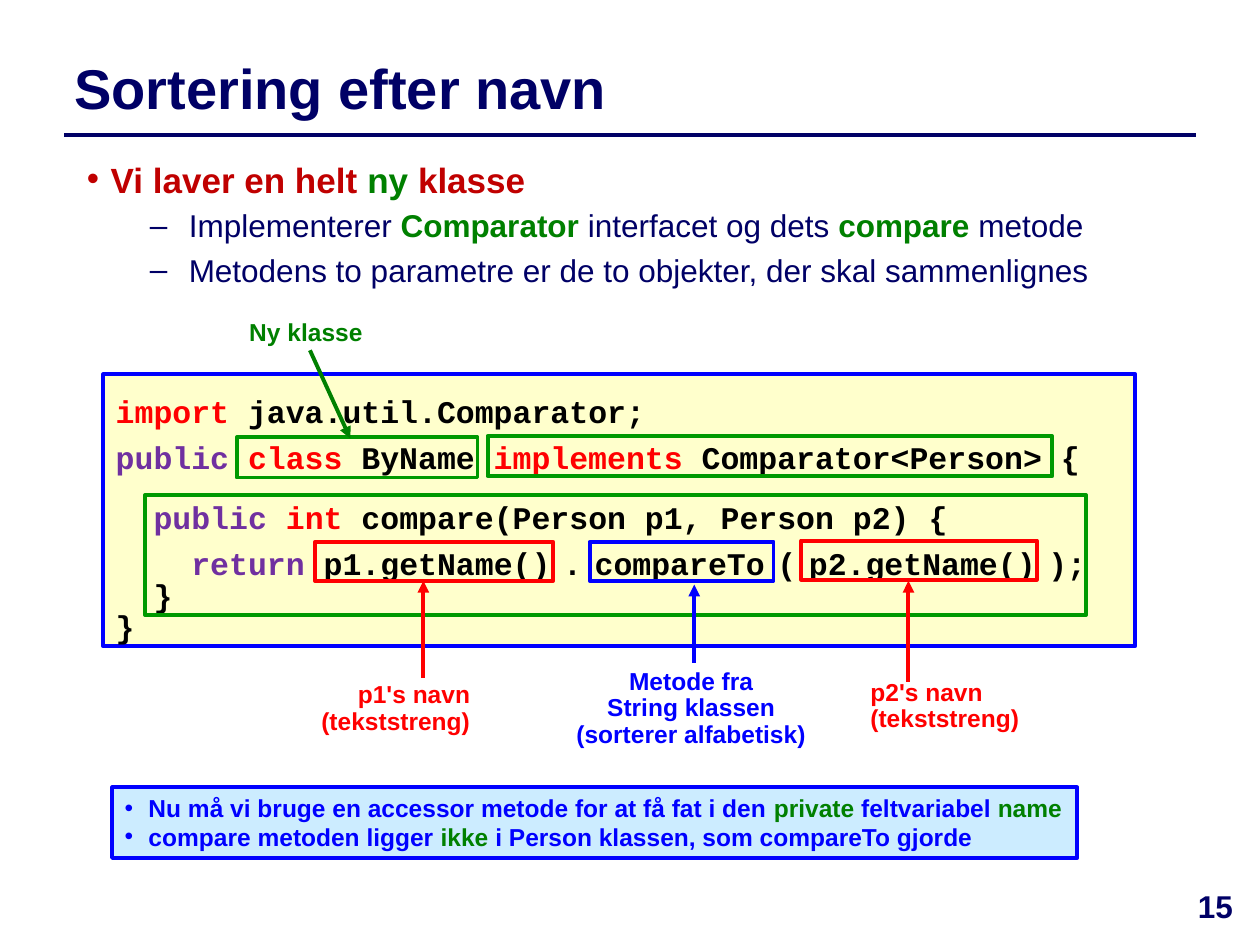
from pptx import Presentation, util as u
from pptx.dml.color import RGBColor
from pptx.enum import shapes as s, text as t
from pptx.oxml.ns import qn
from lxml import etree

NAVY = RGBColor(0, 0, 0x66)
BLUE = RGBColor(0, 0, 0xFF)
RED = RGBColor(0xFF, 0, 0)
WINE = RGBColor(0xC0, 0, 0)
GREEN = RGBColor(0, 0x80, 0)
LEAF = RGBColor(0, 0x99, 0)
PLUM = RGBColor(0x70, 0x30, 0xA0)
BLACK = RGBColor(0, 0, 0)
CREAM = RGBColor(0xFF, 0xFF, 0xCC)
SKY = RGBColor(0xCC, 0xEC, 0xFF)


def put(obj, **vals):
    """Set each named value as an attribute."""
    for key, val in vals.items():
        setattr(obj, key, val)


class Deck:
    """Holds the style and the current slide."""

    font = "Arial"
    weight = 2.25

    def __init__(self):
        """Open a file with one blank slide."""
        self.prs = Presentation()
        put(self.prs, slide_width=u.Inches(10), slide_height=u.Inches(7.5))
        self.slide = self.prs.slides.add_slide(self.prs.slide_layouts[6])

    def line(self, start, end, color, weight=weight, arrow=True):
        """Draw a straight line, with an arrowhead at its end if asked."""
        ends = [u.Inches(n) for n in (*start, *end)]
        link = self.slide.shapes.add_connector(s.MSO_CONNECTOR.STRAIGHT, *ends)
        link.line.width = u.Pt(weight)
        link.line.color.rgb = color
        props = link._element.spPr
        if arrow:
            etree.SubElement(props.find(qn("a:ln")), qn("a:tailEnd"), type="triangle")
        etree.SubElement(props, qn("a:effectLst"))

    def box(self, at, color, fill=None):
        """Draw a framed rectangle."""
        rect = self.slide.shapes.add_shape(
            s.MSO_SHAPE.RECTANGLE, *map(u.Inches, at))
        rect.shadow.inherit = False
        rect.line.width = u.Pt(self.weight)
        rect.line.color.rgb = color
        if fill is None:
            rect.fill.background()
        else:
            rect.fill.solid()
            rect.fill.fore_color.rgb = fill
        return rect

    def label(self, at, *paras, **frame):
        """Place a text box that holds the given paragraphs."""
        area = self.slide.shapes.add_textbox(*map(u.Inches, at))
        self.words(area, paras, **frame)

    def words(self, area, paras, **frame):
        """Fill a shape with paragraphs, each a (runs, format) pair."""
        body = area.text_frame
        put(body, **{"word_wrap": True, "vertical_anchor": t.MSO_ANCHOR.TOP, **frame})
        for num, (runs, form) in enumerate(paras):
            para = body.add_paragraph() if num else body.paragraphs[0]
            self.para(para, runs, **form)

    def para(self, para, runs, size=14, bold=True, font=None, bullet=None,
             left=0, hang=0, **form):
        """Format a paragraph and add its (text, colour, changes) runs."""
        put(para, **{"alignment": t.PP_ALIGN.LEFT, **form})
        if bullet:
            props = para._p.get_or_add_pPr()
            props.set("marL", str(u.Inches(left)))
            props.set("indent", str(-u.Inches(hang)))
            etree.SubElement(props, qn("a:buFont"), typeface=self.font)
            etree.SubElement(props, qn("a:buChar"), char=bullet)
        for words, color, *more in runs:
            look = {"size": u.Pt(size), "bold": bold, "name": font or self.font}
            for change in more:
                look.update(change)
            for num, part in enumerate(words.split("\n")):
                if num:
                    para.add_line_break()
                run = para.add_run()
                run.text = part
                put(run.font, **look)
                run.font.color.rgb = color


def code(*runs, gap=4.5, **form):
    """Make a paragraph of program text."""
    return runs, dict(size=18, font="Courier New", space_before=u.Pt(gap), **form)


def call(*parts):
    """Split the parts of a call with small blanks."""
    small = (" ", BLACK, {"size": u.Pt(12)})
    runs = [(parts[0], BLACK)]
    for part in parts[1:]:
        runs += [small, (part, BLACK)]
    return runs


def note(words, color, side=t.PP_ALIGN.LEFT):
    """Make the paragraph of a small callout."""
    return [(words, color)], dict(line_spacing=0.9, alignment=side)


def point(*runs, gap=0):
    """Make a bullet of the bottom box."""
    return runs, dict(bullet="•", left=0.19, hang=0.19, line_spacing=0.8,
                      space_before=u.Pt(gap))


def dash(*runs):
    """Make a second-level item of the main text."""
    return runs, dict(size=18, bold=False, bullet="–", left=0.81, hang=0.31,
                      line_spacing=0.9, space_before=u.Pt(6), level=1)


deck = Deck()
deck.line((0.51, 1.07), (9.49, 1.07), NAVY, 2, arrow=False)
deck.label((0.49, 0.36, 9.49, 0.67),
           ([("Sortering efter navn", NAVY)], dict(size=32)),
           vertical_anchor=t.MSO_ANCHOR.MIDDLE)

program = deck.box((0.82, 2.97, 8.19, 2.16), BLUE, CREAM)
deck.words(program, [
    code(("import ", RED), ("java.util.Comparator;", BLACK), gap=0),
    code(("public ", PLUM), ("class ", RED), ("ByName ", BLACK),
         ("implements ", RED), ("Comparator<Person> {", BLACK)),
    code(("  public ", PLUM), ("int ", RED),
         ("compare(Person p1, Person p2) {", BLACK), gap=13),
    code(("    return ", PLUM),
         *call("p1.getName()", ".", "compareTo", "(", "p2.getName()", ");")),
    code(("  }", BLACK), line_spacing=0.6),
    code(("}", BLACK), line_spacing=0.6),
], margin_top=u.Inches(0.14))

for at, color in [
    ((2.5, 4.3, 1.89, 0.31), RED),
    ((6.36, 4.29, 1.87, 0.31), RED),
    ((4.68, 4.3, 1.46, 0.31), BLUE),
    ((3.87, 3.46, 4.48, 0.32), LEAF),
    ((1.15, 3.93, 7.47, 0.95), LEAF),
    ((1.88, 3.47, 1.91, 0.32), LEAF),
]:
    deck.box(at, color)

LEFT, MID, RIGHT = t.PP_ALIGN.LEFT, t.PP_ALIGN.CENTER, t.PP_ALIGN.RIGHT
for words, color, side, at, start, end in [
    ("p1's navn (tekststreng)", RED, RIGHT, (2.2, 5.37, 1.63, 0.53),
     (3.36, 5.38), (3.36, 4.61)),
    ("p2's navn (tekststreng)", RED, LEFT, (6.81, 5.35, 1.65, 0.53),
     (7.21, 5.41), (7.21, 4.61)),
    ("Metode fra\nString klassen\n(sorterer alfabetisk)", BLUE, MID,
     (4.29, 5.26, 2.39, 0.74), (5.51, 5.26), (5.51, 4.64)),
    ("Ny klasse", GREEN, LEFT, (1.88, 2.49, 1.16, 0.31),
     (2.46, 2.78), (2.78, 3.48)),
]:
    deck.line(start, end, color)
    deck.label(at, note(words, color, side))

strong = {"bold": True}
deck.label(
    (0.59, 1.27, 8.98, 1.01),
    ([("Vi laver en helt ", WINE), ("ny ", GREEN), ("klasse", WINE)],
     dict(size=20, bullet="•", left=0.19, hang=0.19, line_spacing=0.8)),
    dash(("Implementerer ", NAVY), ("Comparator", GREEN, strong),
         (" interfacet og dets ", NAVY), ("compare", GREEN, strong),
         (" metode", NAVY)),
    dash(("Metodens to parametre er de to objekter, der skal sammenlignes", NAVY)))

remark = deck.box((0.89, 6.25, 7.66, 0.56), BLUE, SKY)
deck.words(remark, [
    point(("Nu må vi bruge en accessor metode for at få fat i den ", BLUE),
          ("private", GREEN), (" feltvariabel ", BLUE), ("name", GREEN)),
    point(("compare metoden ligger ", BLUE), ("ikke", GREEN),
          (" i Person klassen, som compareTo gjorde", BLUE), gap=3),
], margin_top=u.Inches(0.09))

deck.label((9.29, 6.99, 0.71, 0.5),
           ([("15", NAVY)], dict(size=18, alignment=MID)))
deck.prs.save("out.pptx")
